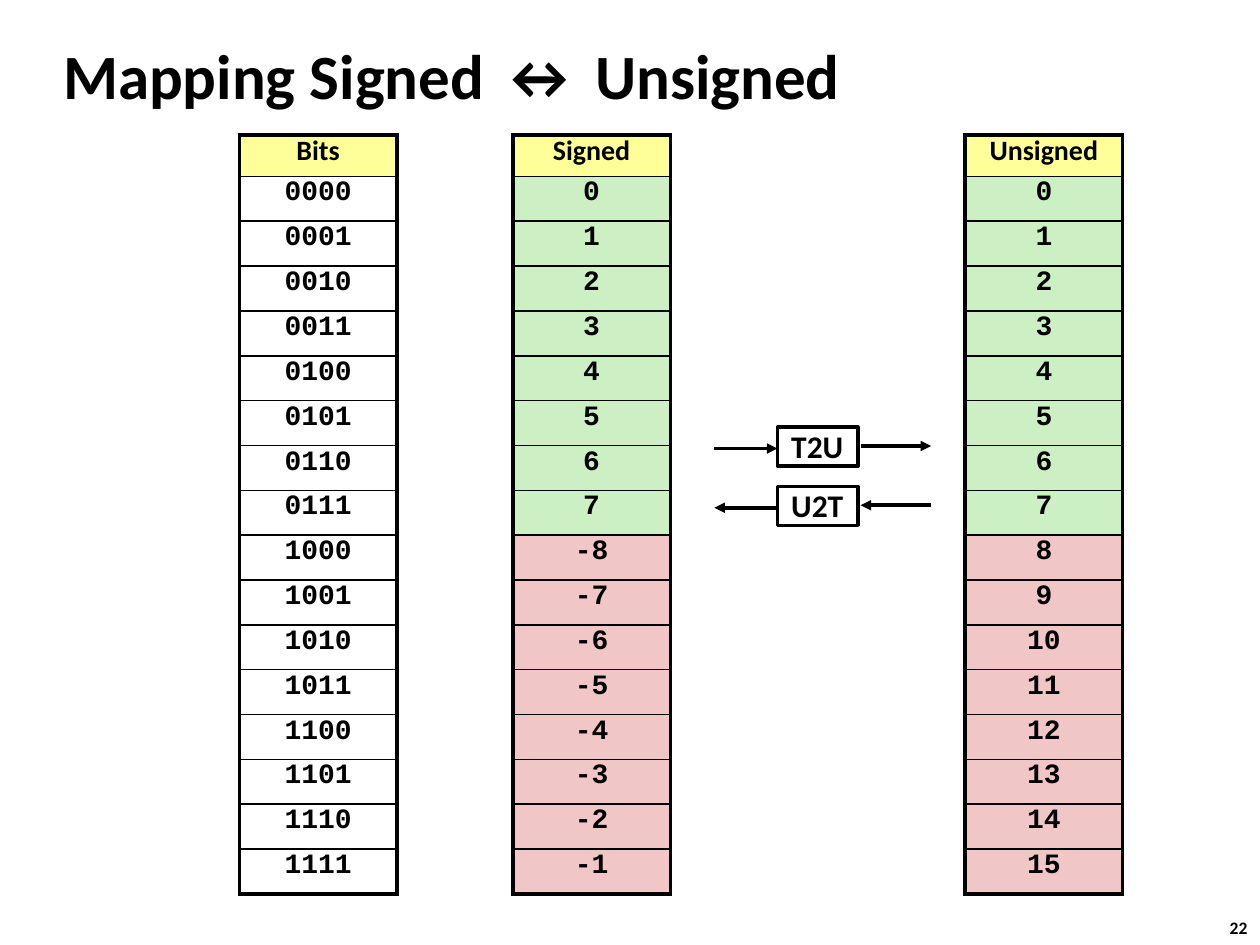
from dataclasses import dataclass

from lxml import etree
from pptx import Presentation
from pptx.dml.color import RGBColor
from pptx.enum.shapes import MSO_CONNECTOR as Connector, MSO_SHAPE as Shape
from pptx.enum.text import MSO_ANCHOR as Anchor, PP_ALIGN as Align
from pptx.oxml import parse_xml
from pptx.oxml.ns import nsdecls, qn
from pptx.util import Inches, Pt


@dataclass(frozen=True)
class Theme:
    ink: str = "000000"
    header: str = "FFFF99"
    same: str = "CCF0C4"
    different: str = "F0C6C6"
    sans: str = "Calibri"
    mono: str = "Courier New"
    title_size: float = 36
    label_size: float = 18
    cell_size: float = 16
    number_size: float = 10
    frame_width: float = 2.25
    rule_width: float = 1
    arrow_width: float = 2


THEME = Theme()
INK = RGBColor.from_string(THEME.ink)


def write(text_frame, text, size, font=THEME.sans, align=Align.LEFT, before=0, leading=None):
    text_frame.text = text
    paragraph = text_frame.paragraphs[0]
    paragraph.alignment = align
    if before:
        paragraph.space_before = Pt(before)
    if leading:
        paragraph.line_spacing = Pt(leading)
    for run in paragraph.runs:
        run.font.size = Pt(size)
        run.font.name = font
        run.font.bold = True
        run.font.color.rgb = INK


def clear_margins(frame, top=0):
    frame.margin_left = frame.margin_right = frame.margin_bottom = 0
    frame.margin_top = Inches(top)


def add_text(slide, left, top, width, height, text, size, **style):
    box = slide.shapes.add_textbox(Inches(left), Inches(top), Inches(width), Inches(height))
    clear_margins(box.text_frame)
    box.text_frame.word_wrap = True
    write(box.text_frame, text, size, **style)


def set_borders(cell, top, bottom):
    properties = cell._tc.get_or_add_tcPr()
    frame = THEME.frame_width
    for side, width in (("L", frame), ("R", frame), ("T", top), ("B", bottom)):
        properties.append(parse_xml(
            f'<a:ln{side} {nsdecls("a")} w="{Pt(width)}"><a:solidFill>'
            f'<a:srgbClr val="{THEME.ink}"/></a:solidFill></a:ln{side}>'))


def add_column(slide, left, top, width, height, heading, values, fills):
    """One-column table with a heading and one row for each value."""
    header_height = 0.33
    row_height = (height - header_height) / len(values)
    last = len(values)
    table = slide.shapes.add_table(
        last + 1, 1, Inches(left), Inches(top), Inches(width), Inches(height)).table
    table.first_row = table.horz_banding = False

    for index, (text, fill) in enumerate(zip([heading, *values], [THEME.header, *fills])):
        is_header = index == 0
        table.rows[index].height = Inches(header_height if is_header else row_height)
        cell = table.cell(index, 0)
        clear_margins(cell, 0 if is_header else 0.01)
        set_borders(cell,
                    THEME.frame_width if is_header else THEME.rule_width,
                    THEME.frame_width if index == last else THEME.rule_width)
        if fill:
            cell.fill.solid()
            cell.fill.fore_color.rgb = RGBColor.from_string(fill)
        else:
            cell.fill.background()
        if is_header:
            write(cell.text_frame, text, THEME.cell_size, align=Align.CENTER, leading=18.8)
        else:
            write(cell.text_frame, text, THEME.cell_size, THEME.mono, Align.CENTER, before=0.9)


def add_arrow(slide, start, end):
    arrow = slide.shapes.add_connector(
        Connector.STRAIGHT, *(Inches(length) for length in (*start, *end)))
    arrow.line.color.rgb = INK
    arrow.line.width = Pt(THEME.arrow_width)
    etree.SubElement(arrow.line._get_or_add_ln(), qn("a:tailEnd"), type="triangle")
    etree.SubElement(arrow._element.spPr, qn("a:effectLst"))


def add_conversion(slide, left, top, width, height, name, rightward):
    """Named box in the middle, with an arrow on each side."""
    box_left, box_width = left + 0.5, 0.64
    box = slide.shapes.add_shape(
        Shape.RECTANGLE, Inches(box_left), Inches(top), Inches(box_width), Inches(height))
    box.shadow.inherit = False
    box.fill.background()
    box.line.color.rgb = INK
    box.line.width = Pt(THEME.arrow_width)
    clear_margins(box.text_frame)
    box.text_frame.margin_left = Inches(0.11)
    box.text_frame.vertical_anchor = Anchor.TOP
    write(box.text_frame, name, THEME.label_size, before=0.2)

    inner_y, outer_y = top + 0.17, top + 0.15
    for x1, x2, y in ((left, box_left, inner_y),
                      (box_left + box_width + 0.02, left + width, outer_y)):
        start, end = (x1, y), (x2, y)
        add_arrow(slide, *((start, end) if rightward else (end, start)))


def build_slide(presentation):
    slide = presentation.slides.add_slide(presentation.slide_layouts[6])

    # Title
    add_text(slide, 0.5, 0.29, 6.25, 0.62, "Mapping Signed ↔ Unsigned",
             THEME.title_size, before=1)

    # Number tables: the lower half differs between the two readings
    codes = range(16)
    halves = [THEME.same] * 8 + [THEME.different] * 8
    columns = (
        (1.9, "Bits", [f"{code:04b}" for code in codes], [None] * 16),
        (4.07, "Signed", [str(code if code < 8 else code - 16) for code in codes], halves),
        (7.66, "Unsigned", [str(code) for code in codes], halves),
    )
    for left, heading, values, fills in columns:
        add_column(slide, left, 1.07, 1.25, 6.03, heading, values, fills)

    # Conversions between the readings
    for top, name, rightward in ((3.39, "T2U", True), (3.86, "U2T", False)):
        add_conversion(slide, 5.67, top, 1.72, 0.31, name, rightward)

    # Slide number
    add_text(slide, 9.76, 7.3, 0.2, 0.17, "22", THEME.number_size, leading=10.5)


def main():
    presentation = Presentation()
    presentation.slide_width = Inches(10)
    presentation.slide_height = Inches(7.5)
    build_slide(presentation)
    presentation.save("out.pptx")


if __name__ == "__main__":
    main()
